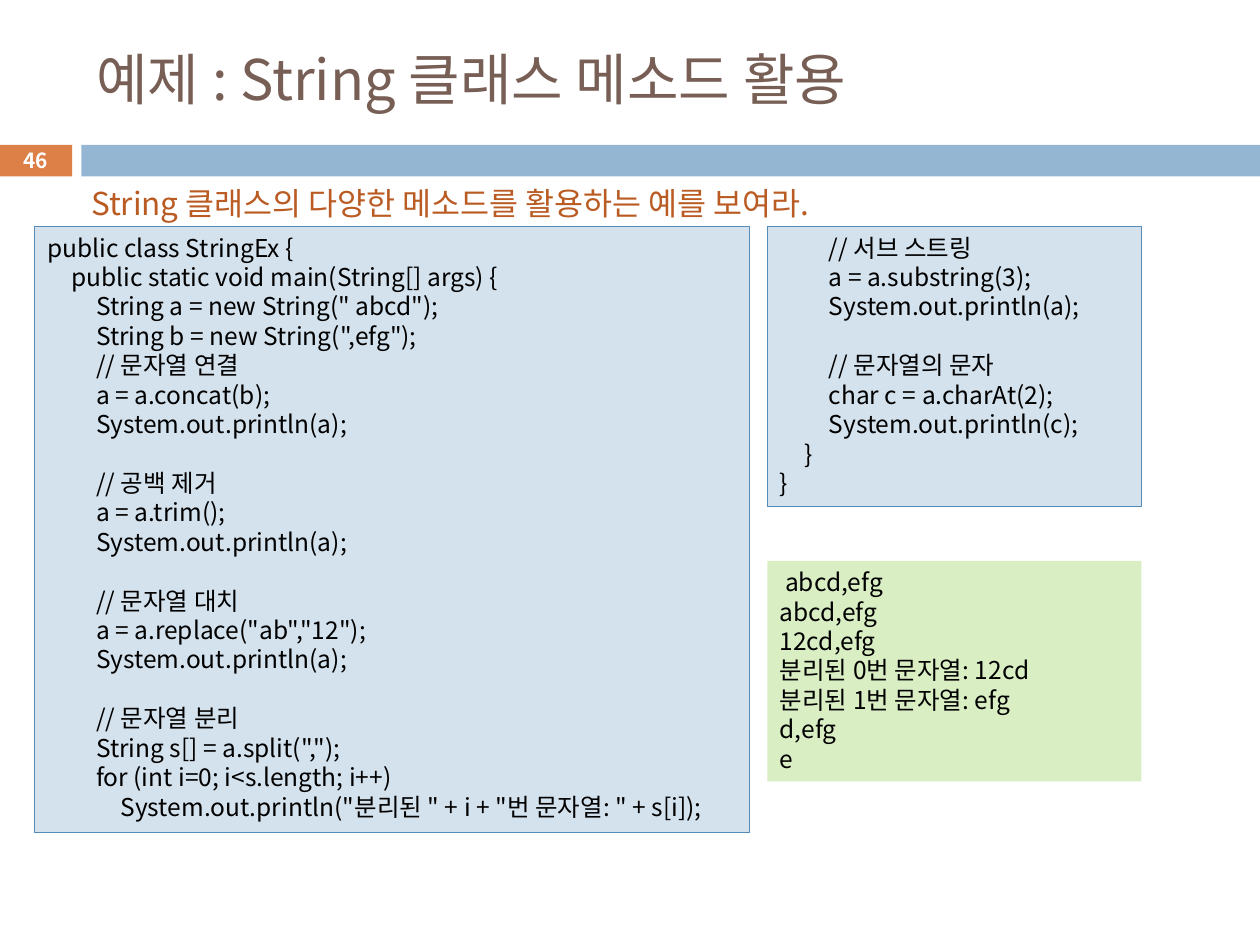
import dataclasses

import lxml.etree
import pptx
import pptx.dml.color
import pptx.enum.shapes
import pptx.enum.text
import pptx.oxml.ns
import pptx.util

Pt = pptx.util.Pt
Align = pptx.enum.text.PP_ALIGN
Anchor = pptx.enum.text.MSO_ANCHOR


@dataclasses.dataclass(frozen=True)
class Theme:
    font: str = "Noto Sans CJK KR"
    title: str = "775F55"
    question: str = "B95B22"
    text: str = "000000"
    light: str = "FFFFFF"
    number_band: str = "DD8047"
    title_band: str = "94B6D2"
    code_fill: str = "D4E2ED"
    code_line: str = "558BB8"
    output_fill: str = "DAEEC4"
    title_size: float = 32
    question_size: float = 18
    code_size: float = 14
    number_size: float = 11.9
    leading: float = 1.2
    tab_step: float = 14
    tab_count: int = 3


THEME = Theme()

MAIN_CODE = """public class StringEx {
\tpublic static void main(String[] args) {
\t\tString a = new String(" abcd");
\t\tString b = new String(",efg");
\t\t// 문자열 연결
\t\ta = a.concat(b);
\t\tSystem.out.println(a);

\t\t// 공백 제거
\t\ta = a.trim();
\t\tSystem.out.println(a);

\t\t// 문자열 대치
\t\ta = a.replace("ab","12");
\t\tSystem.out.println(a);

\t\t// 문자열 분리
\t\tString s[] = a.split(",");
\t\tfor (int i=0; i<s.length; i++)
\t\t\tSystem.out.println("분리된 " + i + "번 문자열: " + s[i]);"""

REST_CODE = """\t\t// 서브 스트링
\t\ta = a.substring(3);
\t\tSystem.out.println(a);

\t\t// 문자열의 문자
\t\tchar c = a.charAt(2);
\t\tSystem.out.println(c);
\t}
}"""

OUTPUT = """ abcd,efg
abcd,efg
12cd,efg
분리된 0번 문자열: 12cd
분리된 1번 문자열: efg
d,efg
e"""


def rgb(value):
    return pptx.dml.color.RGBColor.from_string(value)


def add_tabs(para):
    properties = para._p.get_or_add_pPr()
    tabs = lxml.etree.SubElement(properties, pptx.oxml.ns.qn("a:tabLst"))
    for index in range(1, THEME.tab_count + 1):
        tab = lxml.etree.SubElement(tabs, pptx.oxml.ns.qn("a:tab"))
        tab.set("pos", str(Pt(THEME.tab_step * index)))
        tab.set("algn", "l")


def write(box, text, size, color, align=Align.LEFT, anchor=Anchor.TOP, bold=False, tabbed=False):
    frame = box.text_frame
    frame.word_wrap = True
    frame.vertical_anchor = anchor
    if align == Align.LEFT:
        frame.margin_right = 0
    frame.text = text
    for para in frame.paragraphs:
        para.alignment = align
        para.line_spacing = Pt(size * THEME.leading)
        if tabbed:
            add_tabs(para)
        for font in [para.font] + [span.font for span in para.runs]:
            font.name = THEME.font
            font.size = Pt(size)
            font.bold = bold
            font.color.rgb = rgb(color)
        for span in para.runs:
            east_asian = lxml.etree.SubElement(span.font._element, pptx.oxml.ns.qn("a:ea"))
            east_asian.set("typeface", THEME.font)


def add_panel(page, left, top, width, height, fill, line=None):
    panel = page.shapes.add_shape(
        pptx.enum.shapes.MSO_SHAPE.RECTANGLE, Pt(left), Pt(top), Pt(width), Pt(height))
    panel.shadow.inherit = False
    panel.fill.solid()
    panel.fill.fore_color.rgb = rgb(fill)
    if line:
        panel.line.color.rgb = rgb(line)
        panel.line.width = Pt(0.75)
    else:
        panel.line.fill.background()
    return panel


def add_listing(page, text, left, top, width, height, fill, line=None):
    panel = add_panel(page, left, top, width, height, fill, line)
    write(panel, text, THEME.code_size, THEME.text, tabbed="\t" in text)


def add_label(page, text, left, top, width, height, size, color, **style):
    box = page.shapes.add_textbox(Pt(left), Pt(top), Pt(width), Pt(height))
    write(box, text, size, color, **style)


def main():
    deck = pptx.Presentation()
    deck.slide_width, deck.slide_height = Pt(720), Pt(540)
    page = deck.slides.add_slide(deck.slide_layouts[6])

    add_panel(page, -0.5, 82.8, 41.8, 18, THEME.number_band)
    add_panel(page, 46.5, 82.8, 673.5, 18, THEME.title_band)
    add_label(page, "예제 : String 클래스 메소드 활용", 48, 18, 642, 53.3,
              THEME.title_size, THEME.title, anchor=Anchor.MIDDLE)
    add_label(page, "46", -0.5, 81.6, 41.8, 19.6, THEME.number_size, THEME.light,
              align=Align.CENTER, anchor=Anchor.MIDDLE, bold=True)
    add_label(page, "String 클래스의 다양한 메소드를 활용하는 예를 보여라.", 45, 101.5, 462, 28.8,
              THEME.question_size, THEME.question)

    add_listing(page, MAIN_CODE, 19.8, 129.4, 408.5, 346.3, THEME.code_fill, THEME.code_line)
    add_listing(page, REST_CODE, 438.5, 129.4, 213.8, 160, THEME.code_fill, THEME.code_line)
    add_listing(page, OUTPUT, 438.5, 320.5, 213.8, 126, THEME.output_fill)

    deck.save("out.pptx")


if __name__ == "__main__":
    main()
